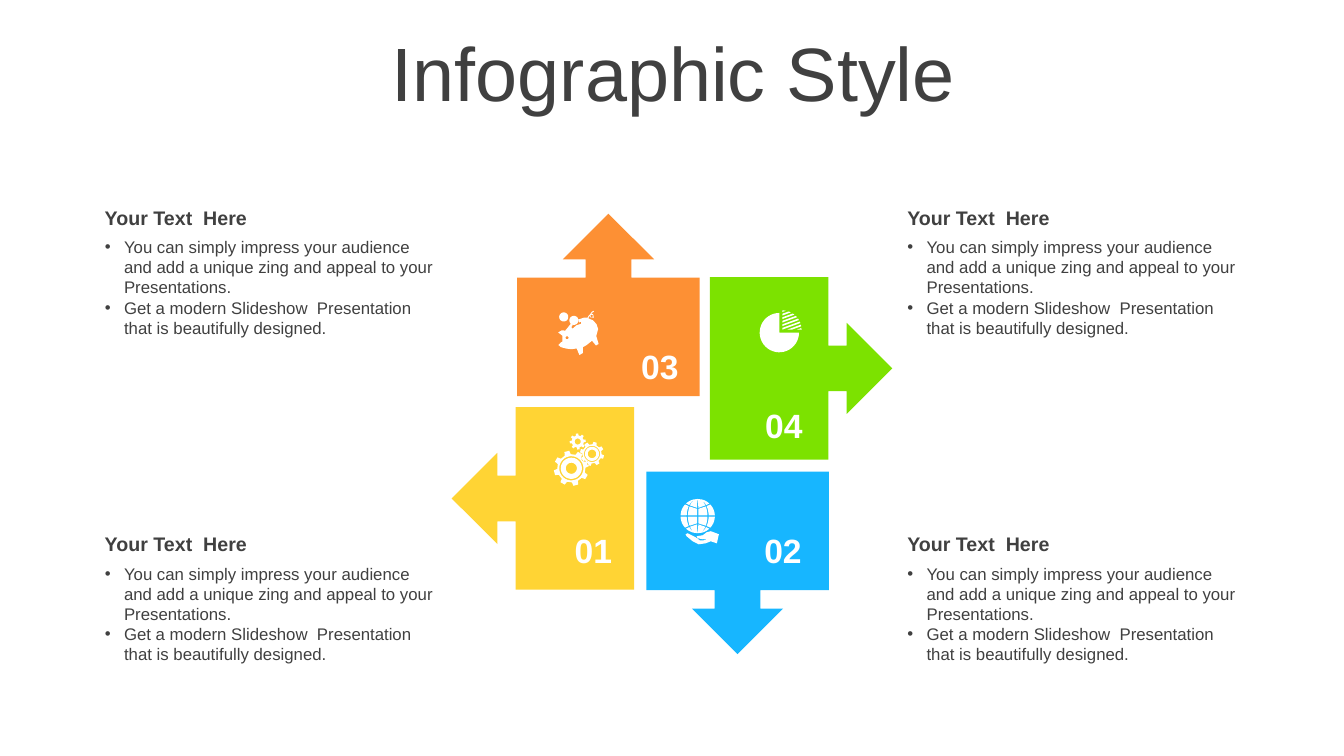
from math import cos, pi, radians, sin, sqrt, tan

from lxml import etree
from pptx import Presentation
from pptx.dml.color import RGBColor
from pptx.enum.shapes import MSO_SHAPE
from pptx.enum.text import MSO_ANCHOR, MSO_AUTO_SIZE, PP_ALIGN
from pptx.oxml.ns import qn
from pptx.util import Pt

PX = 9144  # 100 px to the inch
FINE = 100  # freeform units in one px
COMPARISON_LAYOUT = 4

LEFT_CALLOUT = MSO_SHAPE.LEFT_ARROW_CALLOUT
RIGHT_CALLOUT = MSO_SHAPE.RIGHT_ARROW_CALLOUT
UP_CALLOUT = MSO_SHAPE.UP_ARROW_CALLOUT
DOWN_CALLOUT = MSO_SHAPE.DOWN_ARROW_CALLOUT
CENTER, LEFT = PP_ALIGN.CENTER, PP_ALIGN.LEFT
MIDDLE, TOP = MSO_ANCHOR.MIDDLE, MSO_ANCHOR.TOP
NO_AUTOFIT = MSO_AUTO_SIZE.NONE

WHITE = RGBColor(0xFF, 0xFF, 0xFF)
DARK = RGBColor(0x40, 0x40, 0x40)
GREEN = RGBColor(0x7C, 0xE2, 0x00)
ORANGE = RGBColor(0xFD, 0x90, 0x34)
YELLOW = RGBColor(0xFF, 0xD4, 0x34)
BLUE = RGBColor(0x17, 0xB6, 0xFF)

TITLE_FONT = {"name": "Arial", "size": Pt(54), "bold": False}
NUMBER_FONT = {"name": "Arial", "size": Pt(24), "bold": True}
HEADING_FONT = {"name": "Arial", "size": Pt(14), "bold": True}
LIST_FONT = {"name": "Arial", "size": Pt(12), "bold": False}

CALLOUT_SIDE = 181
HEADING = "Your Text  Here"
BULLETS = [
    "You can simply impress your audience and add a unique zing and appeal "
    "to your Presentations.",
    "Get a modern Slideshow  Presentation that is beautifully designed.",
]


def place(shape, box):
    for name, value in zip(("left", "top", "width", "height"), box):
        setattr(shape, name, value * PX)


def write(shape, lines, font, colour, align=LEFT, anchor=TOP, spacing=1.0, bullet=False):
    frame = shape.text_frame
    for name, value in {"word_wrap": True, "auto_size": NO_AUTOFIT,
                        "vertical_anchor": anchor}.items():
        setattr(frame, name, value)
    for index, line in enumerate(lines):
        paragraph = frame.paragraphs[0] if index == 0 else frame.add_paragraph()
        if bullet:
            properties = paragraph._p.get_or_add_pPr()
            properties.set("marL", str(19 * PX))
            properties.set("indent", str(-19 * PX))
            etree.SubElement(properties, qn("a:buFont")).set("typeface", "Arial")
            etree.SubElement(properties, qn("a:buChar")).set("char", "•")
        for name, value in {"alignment": align, "line_spacing": spacing,
                            "space_before": Pt(0), "space_after": Pt(0)}.items():
            setattr(paragraph, name, value)
        run = paragraph.add_run()
        run.text = line
        for name, value in font.items():
            setattr(run.font, name, value)
        run.font.color.rgb = colour


def paint(shape, colour):
    shape.shadow.inherit = False
    shape.fill.solid()
    shape.fill.fore_color.rgb = colour
    shape.line.fill.background()


# Icon outlines: lists of closed contours in px, relative to the icon's origin
def arc(x, y, radius, start=0, end=360, steps=32):
    angles = [radians(start + (end - start) * i / steps) for i in range(steps + 1)]
    return [(x + radius * cos(a), y + radius * sin(a)) for a in angles]


def gear(x, y, outer, root, holes, turn, teeth=8):
    rim = []
    for tooth in range(teeth):
        middle = radians(turn) + 2 * pi * tooth / teeth
        for radius, offset in ((root, -0.22), (outer, -0.14), (outer, 0.14), (root, 0.22)):
            rim.append((x + radius * cos(middle + offset), y + radius * sin(middle + offset)))
    return [rim] + [arc(x, y, radius) for radius in holes]


def gears_icon():
    return (gear(17.5, 30.5, 17.5, 14, (12, 10.5, 5.5), 0)
            + gear(41, 22, 12, 9.5, (8, 7, 4.2), -15)
            + gear(30.5, 6.5, 8, 6, (3,), 10))


def globe_icon(radius=17):
    contours = []
    for left, right in ((-1, -0.64), (-0.57, -0.04), (0.04, 0.57), (0.64, 1)):
        for polar in (False, True):
            edges = []
            for meridian in (left, right):
                parallel = 7.5 + 4.5 * abs(meridian)
                low, high = (parallel + 0.5, radius) if polar else (0.6, parallel - 0.5)
                heights = [low + (high - low) * i / 8 for i in range(9)]
                edges.append([(meridian * sqrt(radius ** 2 - y ** 2), y) for y in heights])
            panel = edges[0] + edges[1][::-1]
            contours += [[(x, side * y) for x, y in panel] for side in (-1, 1)]
    hand = [(13, 15), (21, 18), (19, 27), (13, 25), (8, 27), (1, 28), (-5, 25), (-11, 20),
            (-12, 18), (-10, 17), (-2, 21), (2, 24), (6, 24), (10, 22.3), (5, 23), (0, 22),
            (-1, 20), (5, 19), (9, 16)]
    return contours + [hand]


def piggy_icon():
    body = [(47, 14), (47, 15), (44, 15), (45, 17), (44, 20), (41, 18), (41, 16), (39, 18),
            (42, 22), (43, 27), (42, 32), (37, 37), (35, 45), (32, 45), (31, 39), (24, 40),
            (20, 40), (17, 45), (13, 45), (14, 38), (9, 36), (5, 33), (1, 29), (0, 26),
            (3, 25), (5, 25), (8, 20), (6, 15), (10, 15), (13, 17), (21, 14), (22, 16),
            (20, 17), (20, 19), (25, 18), (30, 19), (31, 17), (29, 17), (30, 14), (35, 15),
            (39, 17), (40, 16), (43, 15), (45, 14)]
    circles = ((11, 24, 1.5), (43, 17.5, 1.2), (25.5, 12.5, 4.5), (18.5, 4.5, 4.5))
    return [body] + [arc(*circle) for circle in circles]


def pie_icon(radius=19, slope=radians(20)):
    def stripe_edge(depth):
        start = (3 + max(0, depth / tan(slope)), min(depth, 0) - 3)
        reach = depth * sin(slope) + sqrt(radius ** 2 - (depth * cos(slope)) ** 2)
        reach = max(reach, 0)
        return [start, (3 + reach * cos(slope), depth - 3 - reach * sin(slope))]

    stripes = []
    for step in range(-5, 3):
        depth = 3.5 * step
        stripes.append(stripe_edge(depth) + stripe_edge(depth - 1.7)[::-1])
    return [[(0, 0)] + arc(0, 0, 19.5, 0, 270)] + stripes


def draw_icon(slide, x, y, contours, rotation):
    scaled = [[(px * FINE, py * FINE) for px, py in contour] for contour in contours]
    builder = slide.shapes.build_freeform(*scaled[0][0], scale=PX / FINE)
    for index, contour in enumerate(scaled):
        if index:
            builder.move_to(*contour[0])
        builder.add_line_segments(contour[1:], close=True)
    icon = builder.convert_to_shape(x * PX, y * PX)
    icon.rotation = rotation
    paint(icon, WHITE)


def title_region(slide, box):
    title = slide.shapes.title
    place(title, box)
    write(title, ["Infographic Style"], TITLE_FONT, DARK, CENTER, MIDDLE, 0.9)


def callout_region(slide, x, y, preset, colour, number, number_offset, icon, icon_offset, rotation):
    box = [v * PX for v in (x, y, CALLOUT_SIDE, CALLOUT_SIDE)]
    paint(slide.shapes.add_shape(preset, *box), colour)
    draw_icon(slide, x + icon_offset[0], y + icon_offset[1], icon, rotation)
    label_box = (x + number_offset[0], y + number_offset[1], 65, 50)
    label = slide.shapes.add_textbox(*[v * PX for v in label_box])
    write(label, [number], NUMBER_FONT, WHITE, CENTER)


def text_region(slide, placeholder, x, y, width=349):
    heading = slide.shapes.add_textbox(*[v * PX for v in (x, y, width, 34)])
    write(heading, [HEADING], HEADING_FONT, DARK)
    place(placeholder, (x, y + 31, width, 111))
    write(placeholder, BULLETS, LIST_FONT, DARK, bullet=True)


def main():
    presentation = Presentation()
    presentation.slide_width, presentation.slide_height = 1333 * PX, 750 * PX
    slide = presentation.slides.add_slide(presentation.slide_layouts[COMPARISON_LAYOUT])
    title_region(slide, (35, 37, 1266, 79))

    # Pinwheel of arrow callouts
    for callout in (
        (704, 275, RIGHT_CALLOUT, GREEN, "04", (41, 122), pie_icon(), (69, 55), 0),
        (513, 212, UP_CALLOUT, ORANGE, "03", (109, 126), piggy_icon(), (36, 93), 330),
        (448, 404, LEFT_CALLOUT, YELLOW, "01", (108, 117), gears_icon(), (99, 28), 345),
        (641, 468, DOWN_CALLOUT, BLUE, "02", (103, 53), globe_icon(), (51, 44), 0),
    ):
        callout_region(slide, *callout)

    # Text in the four corners
    corners = [(x, y) for x in (94, 890) for y in (199, 523)]
    lists = [p for p in slide.placeholders if p.placeholder_format.idx > 0]
    for placeholder, corner in zip(lists, corners):
        text_region(slide, placeholder, *corner)

    presentation.save("out.pptx")


if __name__ == "__main__":
    main()
